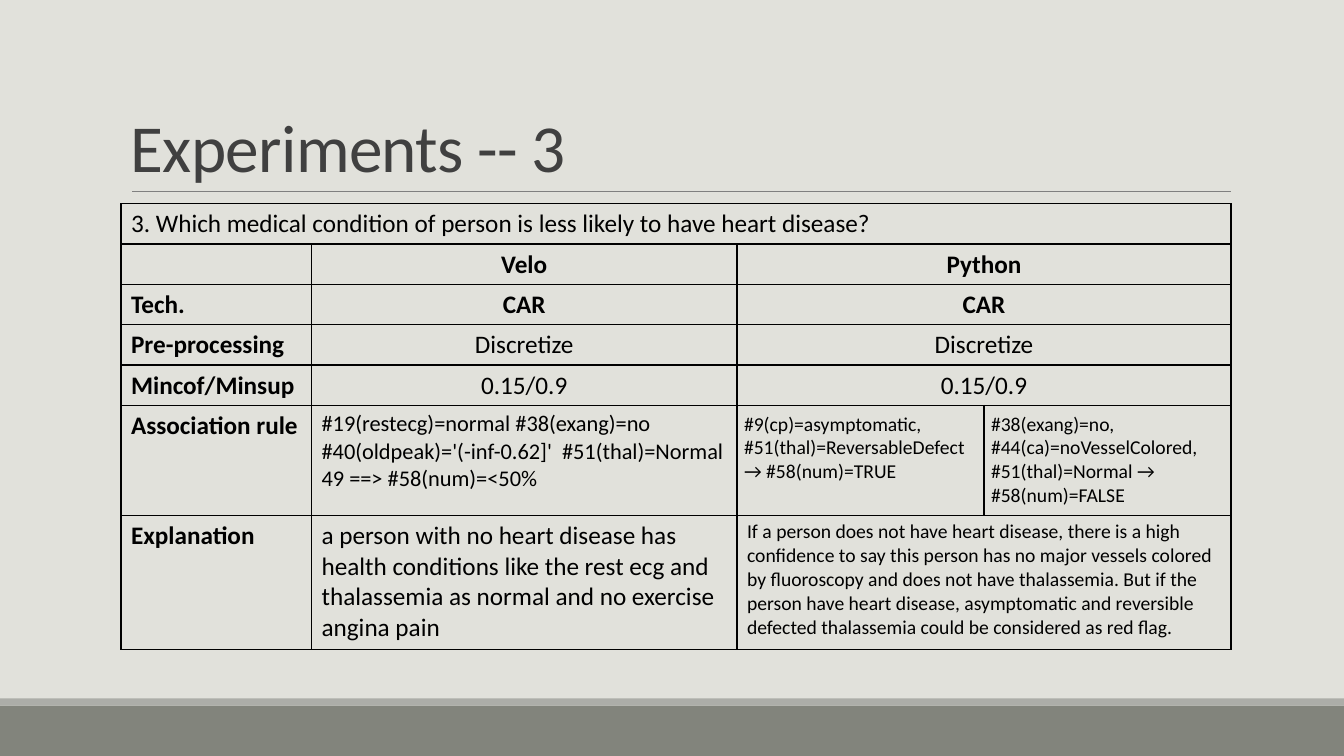
from lxml import etree
from pptx import Presentation
from pptx.dml.color import RGBColor
from pptx.enum.shapes import MSO_CONNECTOR, MSO_SHAPE
from pptx.enum.text import MSO_ANCHOR, PP_ALIGN
from pptx.oxml import parse_xml
from pptx.oxml.ns import nsdecls, qn
from pptx.util import Inches, Pt

LEFT, CENTER = PP_ALIGN.LEFT, PP_ALIGN.CENTER
BOTTOM = MSO_ANCHOR.BOTTOM
RECT, STRAIGHT = MSO_SHAPE.RECTANGLE, MSO_CONNECTOR.STRAIGHT
PAPER = RGBColor(0xE1, 0xE1, 0xDB)
BAND = RGBColor(0x82, 0x84, 0x7C)
STRIP = RGBColor(0xAC, 0xAD, 0xA8)
RULE = RGBColor(0x80, 0x80, 0x80)
DARK = RGBColor(0x40, 0x40, 0x40)
BLACK = RGBColor(0, 0, 0)


def write(frame, text, size=18, color=BLACK, bold=False, align=LEFT):
    para = frame.paragraphs[0]
    para.alignment = align
    run = para.add_run()
    run.text = text
    run.font.name = "Calibri"
    run.font.size = Pt(size)
    run.font.bold = bold
    run.font.color.rgb = color
    return para


def frame_cell(cell):
    """Give a cell thin black borders and no fill."""
    props = cell._tc.get_or_add_tcPr()
    for side in ("lnL", "lnR", "lnT", "lnB"):
        props.append(parse_xml(
            f'<a:{side} {nsdecls("a")} w="12700"><a:solidFill>'
            f'<a:srgbClr val="{BLACK}"/></a:solidFill></a:{side}>'))
    cell.fill.background()


prs = Presentation()
prs.slide_width, prs.slide_height = Inches(13.33), Inches(7.5)
slide = prs.slides.add_slide(prs.slide_layouts[6])
slide.background.fill.solid()
slide.background.fill.fore_color.rgb = PAPER

# Footer bands
for top, height, color in ((7, 0.5, BAND), (6.93, 0.07, STRIP)):
    bar = slide.shapes.add_shape(
        RECT, 0, Inches(top), prs.slide_width, Inches(height))
    bar.shadow.inherit = False
    bar.fill.solid()
    bar.fill.fore_color.rgb = color
    bar.line.fill.background()

# Title and the rule below it
rule = slide.shapes.add_connector(
    STRAIGHT, Inches(1.31), Inches(1.9), Inches(12.21), Inches(1.9))
rule.line.color.rgb = RULE
rule.line.width = Pt(0.5)
etree.SubElement(rule._element.spPr, qn("a:effectLst"))

title = slide.shapes.add_textbox(
    Inches(1.2), Inches(0.31), Inches(11), Inches(1.59)).text_frame
title.word_wrap = True
title.vertical_anchor = BOTTOM
head = write(title, "Experiments -- 3", size=48, color=DARK)
head.line_spacing = 0.85
head.runs[0].font._element.set("spc", "-50")

# Table: each entry is a text and its format
WIDTHS = (1.89, 4.22, 2.45, 2.45)
HEIGHTS = (0.4,) * 5 + (1.09, 1.33)
LABEL = {"bold": True}
HEAD = {"bold": True, "align": CENTER}
VALUE = {"align": CENTER}
SMALL = {"size": 14}
ROWS = (
    [("3. Which medical condition of person is less likely to have "
      "heart disease?", {})],
    [("", {}), ("Velo", HEAD), ("Python", HEAD)],
    [("Tech.", LABEL), ("CAR", HEAD), ("CAR", HEAD)],
    [("Pre-processing", LABEL), ("Discretize", VALUE), ("Discretize", VALUE)],
    [("Mincof/Minsup", LABEL), ("0.15/0.9", VALUE), ("0.15/0.9", VALUE)],
    [("Association rule", LABEL),
     ("#19(restecg)=normal #38(exang)=no #40(oldpeak)='(-inf-0.62]'  "
      "#51(thal)=Normal 49 ==> #58(num)=<50%", {"size": 16}),
     ("#9(cp)=asymptomatic, #51(thal)=ReversableDefect → #58(num)=TRUE",
      SMALL),
     ("#38(exang)=no, #44(ca)=noVesselColored, #51(thal)=Normal → "
      "#58(num)=FALSE", SMALL)],
    [("Explanation", LABEL),
     ("a person with no heart disease has health conditions like the rest "
      "ecg and thalassemia as normal and no exercise angina pain", {}),
     ("If a person does not have heart disease, there is a high confidence "
      "to say this person has no major vessels colored by fluoroscopy and "
      "does not have thalassemia. But if the person have heart disease, "
      "asymptomatic and reversible defected thalassemia could be considered "
      "as red flag.", SMALL)],
)
table = slide.shapes.add_table(
    len(ROWS), len(WIDTHS), Inches(1.2), Inches(2.02),
    Inches(sum(WIDTHS)), Inches(sum(HEIGHTS))).table
table.first_row = table.horz_banding = False
for column, width in zip(table.columns, WIDTHS):
    column.width = Inches(width)
for row, height in zip(table.rows, HEIGHTS):
    row.height = Inches(height)
for cell in table.iter_cells():
    frame_cell(cell)

last = len(WIDTHS) - 1
for r, entries in enumerate(ROWS):
    # The final entry of a short row spans the remaining columns
    if len(entries) <= last:
        table.cell(r, len(entries) - 1).merge(table.cell(r, last))
    for c, (text, style) in enumerate(entries):
        write(table.cell(r, c).text_frame, text, **style)

for c in (2, 3):
    cell = table.cell(5, c)
    cell.margin_left = cell.margin_right = Inches(0.07)
    cell.margin_top = cell.margin_bottom = Inches(0.07)

prs.save("out.pptx")
